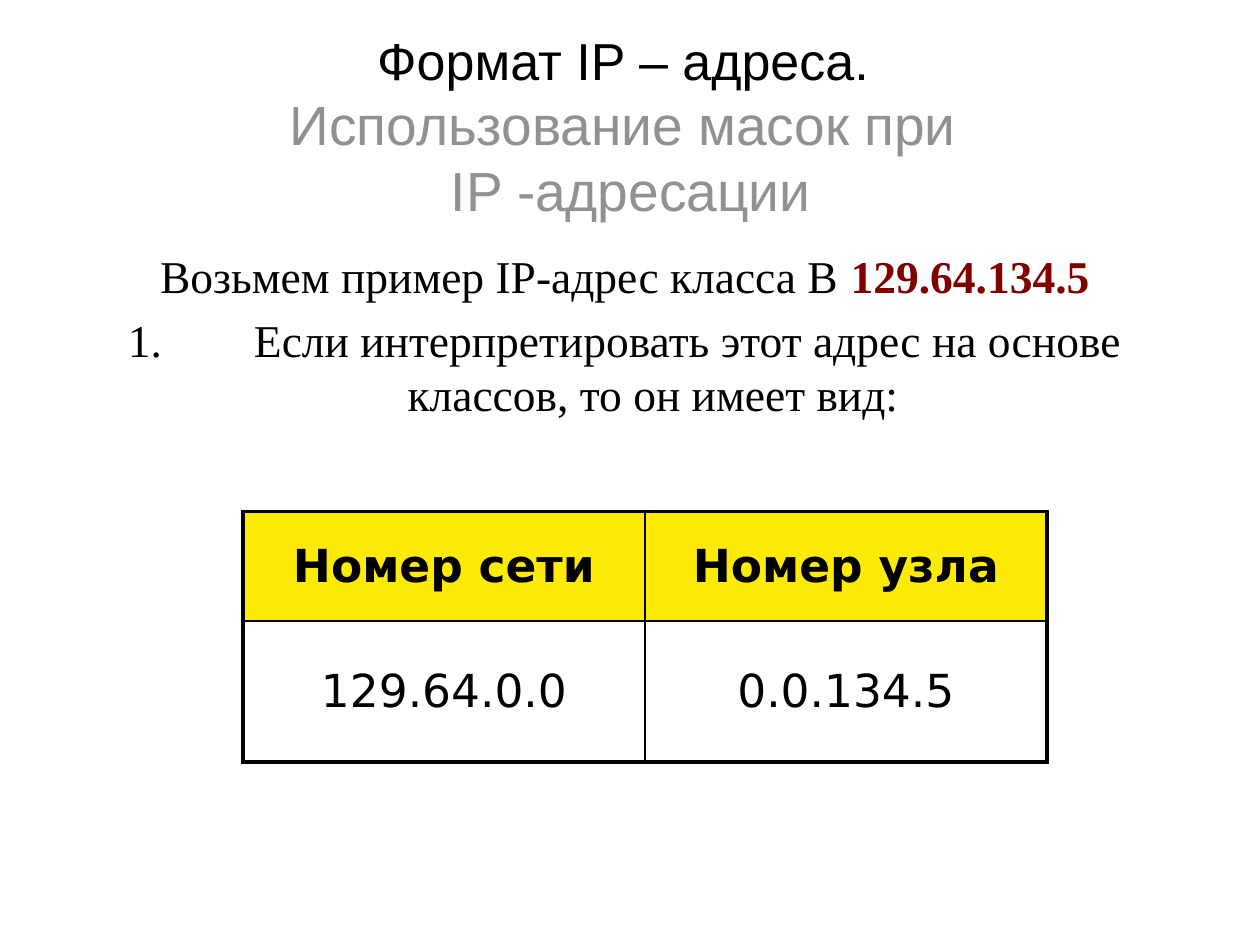
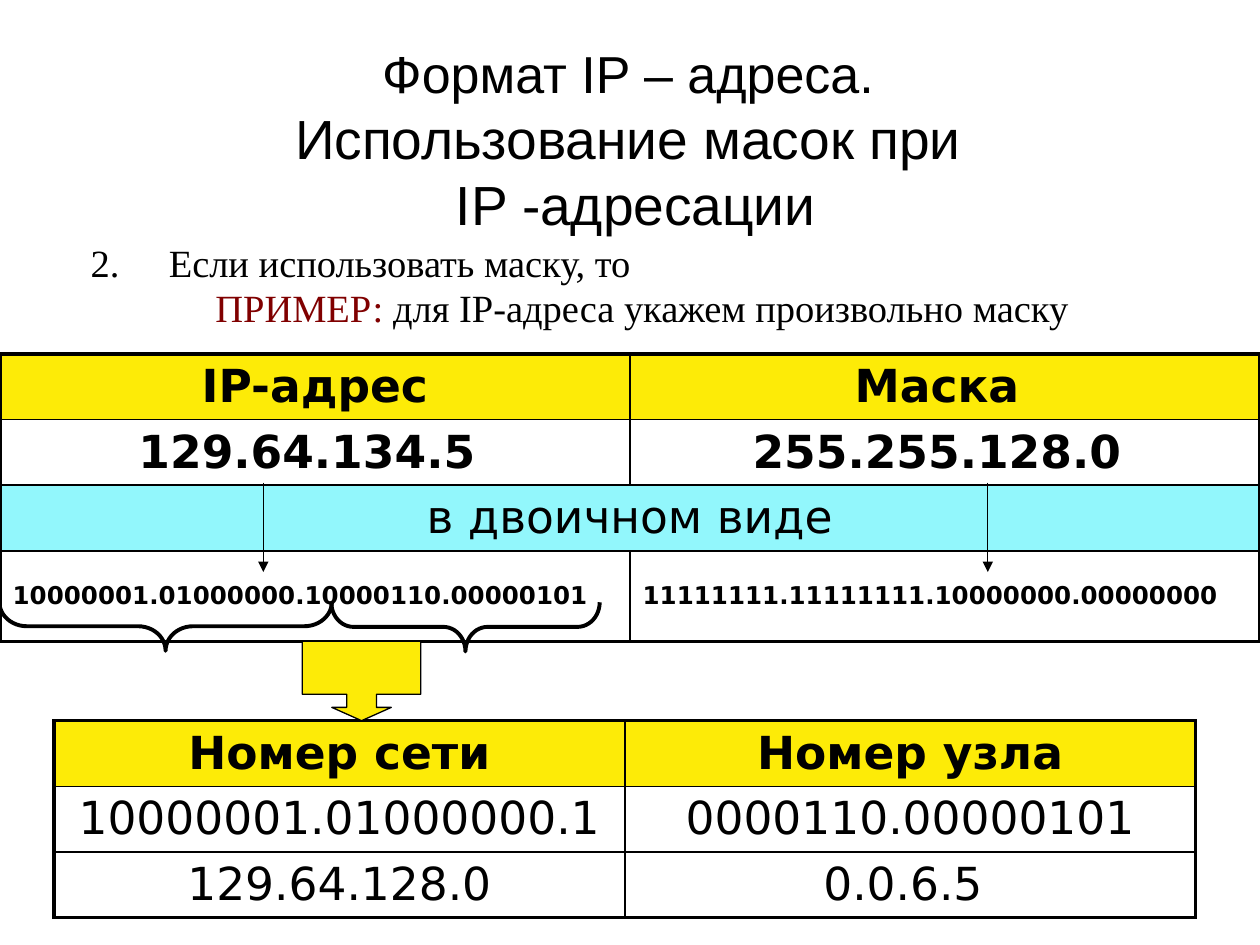
from dataclasses import dataclass

from lxml.etree import SubElement
from pptx import Presentation
from pptx.dml.color import RGBColor
from pptx.enum.shapes import MSO_CONNECTOR as Connector, MSO_SHAPE as Preset
from pptx.enum.text import MSO_ANCHOR as Anchor, MSO_AUTO_SIZE as AutoSize, PP_ALIGN as Align
from pptx.oxml import parse_xml
from pptx.oxml.ns import nsdecls, qn
from pptx.util import Pt

EMU_PER_PX = 9144  # 100 px to the inch


@dataclass(frozen=True)
class Theme:
    black: str = "000000"
    grey: str = "919191"
    maroon: str = "800000"
    yellow: str = "FDEB07"
    cyan: str = "92F7FC"
    title_font: str = "Arial"
    body_font: str = "Times New Roman"
    table_font: str = "DejaVu Sans"
    title_size: float = 29.7
    subtitle_size: float = 31.5
    body_size: float = 26
    small_body_size: float = 22
    cell_size: float = 26
    bits_size: float = 14
    thick: float = 2.25
    inner: float = 1
    thin: float = 0.75


@dataclass(frozen=True)
class Cell:
    text: str
    bold: bool = True
    fill: str = ""
    size: float = Theme.cell_size
    align: Align = Align.CENTER
    span: int = 1


def px(length):
    return round(length * EMU_PER_PX)


def header(text):
    return Cell(text, fill=Theme.yellow)


def plain(text):
    return Cell(text, bold=False)


def bits(text):
    return Cell(text, size=Theme.bits_size, align=Align.LEFT)


class SlideBuilder:
    def __init__(self, deck, theme):
        self.deck = deck
        self.theme = theme
        self.page = None

    def new_page(self):
        self.page = self.deck.slides.add_slide(self.deck.slide_layouts[1])

    def place(self, shape, left, top, width, height):
        shape.left, shape.top = px(left), px(top)
        shape.width, shape.height = px(width), px(height)

    def span(self, para, text, font, size, color, bold=False):
        run = para.add_run()
        run.text = text
        run.font.name = font
        run.font.size = Pt(size)
        run.font.bold = bold
        run.font.color.rgb = RGBColor.from_string(color)

    def title(self, left, top, subtitle_color):
        theme = self.theme
        box = self.page.shapes.title
        self.place(box, left, top, 875, 133)
        frame = box.text_frame
        frame.auto_size = AutoSize.NONE
        frame.vertical_anchor = Anchor.MIDDLE
        para = frame.paragraphs[0]
        para.alignment = Align.CENTER
        self.span(para, "Формат IP – адреса. ", theme.title_font, theme.title_size, theme.black)
        for line in ("Использование масок при ", "IP -адресации"):
            para.add_line_break()
            self.span(para, line, theme.title_font, theme.subtitle_size, subtitle_color)

    def body(self, left, top, width, height):
        box = self.page.placeholders[1]
        self.place(box, left, top, width, height)
        box.text_frame.auto_size = AutoSize.NONE
        return box.text_frame

    def body_para(self, frame, spans, size, indent, align, number=None, spacing=None):
        """Add a paragraph of (text, colour, bold) spans with a hanging indent."""
        first = not frame.paragraphs[0].runs
        para = frame.paragraphs[0] if first else frame.add_paragraph()
        properties = para._p.get_or_add_pPr()
        properties.set("marL", str(px(indent)))
        properties.set("indent", str(-px(indent)))
        if number:
            bullet = SubElement(properties, qn("a:buAutoNum"), type="arabicPeriod")
            if number > 1:
                bullet.set("startAt", str(number))
        else:
            SubElement(properties, qn("a:buNone"))
        para.alignment = align
        if spacing:
            para.line_spacing = spacing
        if first:
            para.space_before = Pt(0)
        for text, color, bold in spans:
            self.span(para, text, self.theme.body_font, size, color, bold)

    def border(self, cell, widths):
        """Draw the left, right, top and bottom edges, in that order."""
        properties = cell._tc.get_or_add_tcPr()
        for place, (side, width) in enumerate(zip("LRTB", widths)):
            properties.insert(place, parse_xml(
                f'<a:ln{side} {nsdecls("a")} w="{Pt(width)}"><a:solidFill>'
                f'<a:srgbClr val="{self.theme.black}"/></a:solidFill></a:ln{side}>'))

    def table(self, left, top, width, heights, rows):
        theme = self.theme
        columns = len(rows[0])
        frame = self.page.shapes.add_table(
            len(rows), columns, px(left), px(top), px(width), px(sum(heights)))
        grid = frame.table
        grid.first_row = grid.horz_banding = False
        for row, (height, entries) in enumerate(zip(heights, rows)):
            grid.rows[row].height = px(height)
            for column, entry in enumerate(entries):
                cell = grid.cell(row, column)
                last = column + entry.span - 1
                if entry.span > 1:
                    cell.merge(grid.cell(row, last))
                cell.vertical_anchor = Anchor.MIDDLE
                if entry.fill:
                    cell.fill.solid()
                    cell.fill.fore_color.rgb = RGBColor.from_string(entry.fill)
                else:
                    cell.fill.background()
                outer = (column == 0, last == columns - 1, row == 0, row == len(rows) - 1)
                self.border(cell, [theme.thick if edge else theme.inner for edge in outer])
                para = cell.text_frame.paragraphs[0]
                para.alignment = entry.align
                self.span(para, entry.text, theme.table_font, entry.size, theme.black, entry.bold)

    def arrow_down(self, x, top, bottom):
        arrow = self.page.shapes.add_connector(
            Connector.STRAIGHT, px(x), px(top), px(x), px(bottom))
        arrow.line.color.rgb = RGBColor.from_string(self.theme.black)
        arrow.line.width = Pt(self.theme.thin)
        SubElement(arrow.line._get_or_add_ln(), qn("a:tailEnd"), type="triangle")
        SubElement(arrow._element.spPr, qn("a:effectLst"))

    def shape(self, preset, box, adjustments, line_width, fill=None, rotation=0):
        shape = self.page.shapes.add_shape(preset, *map(px, box))
        shape.shadow.inherit = False
        shape.rotation = rotation
        for place, value in enumerate(adjustments):
            shape.adjustments[place] = value
        if fill:
            shape.fill.solid()
            shape.fill.fore_color.rgb = RGBColor.from_string(fill)
        else:
            shape.fill.background()
        shape.line.color.rgb = RGBColor.from_string(self.theme.black)
        shape.line.width = Pt(line_width)


def class_slide(builder):
    theme = builder.theme
    builder.new_page()
    builder.title(63, 33, theme.grey)
    frame = builder.body(51, 192, 890, 467)
    builder.body_para(frame, [("Возьмем пример IP-адрес класса В ", theme.black, False),
                              ("129.64.134.5", theme.maroon, True)],
                      theme.body_size, 54, Align.CENTER)
    builder.body_para(frame, [("\tЕсли интерпретировать этот адрес на основе классов, "
                               "то он имеет вид: ", theme.black, False)],
                      theme.body_size, 54, Align.CENTER, number=1)
    builder.table(193, 406, 638, [87, 112], [
        [header("Номер сети"), header("Номер узла")],
        [plain("129.64.0.0"), plain("0.0.134.5")],
    ])


def mask_slide(builder):
    theme = builder.theme
    builder.new_page()
    builder.title(67, 44, theme.black)
    frame = builder.body(62, 192, 895, 81)
    builder.body_para(frame, [("Если использовать маску, то", theme.black, False)],
                      theme.small_body_size, 62, Align.LEFT, number=2, spacing=0.8)
    builder.body_para(frame, [("ПРИМЕР:", theme.maroon, False),
                              (" для IP-адреса укажем произвольно маску", theme.black, False)],
                      theme.small_body_size, 62, Align.CENTER, spacing=0.8)
    builder.table(0, 281, 1000, [52, 52, 52, 72], [
        [header("IP-адрес"), header("Маска ")],
        [Cell("129.64.134.5 "), Cell("255.255.128.0 ")],
        [Cell("в двоичном виде", bold=False, fill=theme.cyan, span=2)],
        [bits("10000001.01000000.10000110.00000101"),
         bits("11111111.11111111.10000000.00000000")],
    ])
    for x in (209, 784):
        builder.arrow_down(x, 383, 454)
    builder.table(43, 572, 906, [52] * 3, [
        [header("Номер сети"), header("Номер узла")],
        [plain("10000001.01000000.1"), plain("0000110.00000101")],
        [plain("129.64.128.0"), plain("0.0.6.5 ")],
    ])
    for box, curve in (((112, 365, 39, 264), 0.56), ((350, 391, 39, 213), 0.45)):
        builder.shape(Preset.LEFT_BRACE, box, (curve, 0.5), theme.thick, rotation=270)
    builder.shape(Preset.DOWN_ARROW_CALLOUT, (240, 509, 94, 63),
                  (0.375, 0.375, 0.167, 0.667), theme.thin, fill=theme.yellow)


def main():
    deck = Presentation()
    deck.slide_width, deck.slide_height = px(1000), px(750)
    builder = SlideBuilder(deck, Theme())
    class_slide(builder)
    mask_slide(builder)
    deck.save("out.pptx")


if __name__ == "__main__":
    main()
